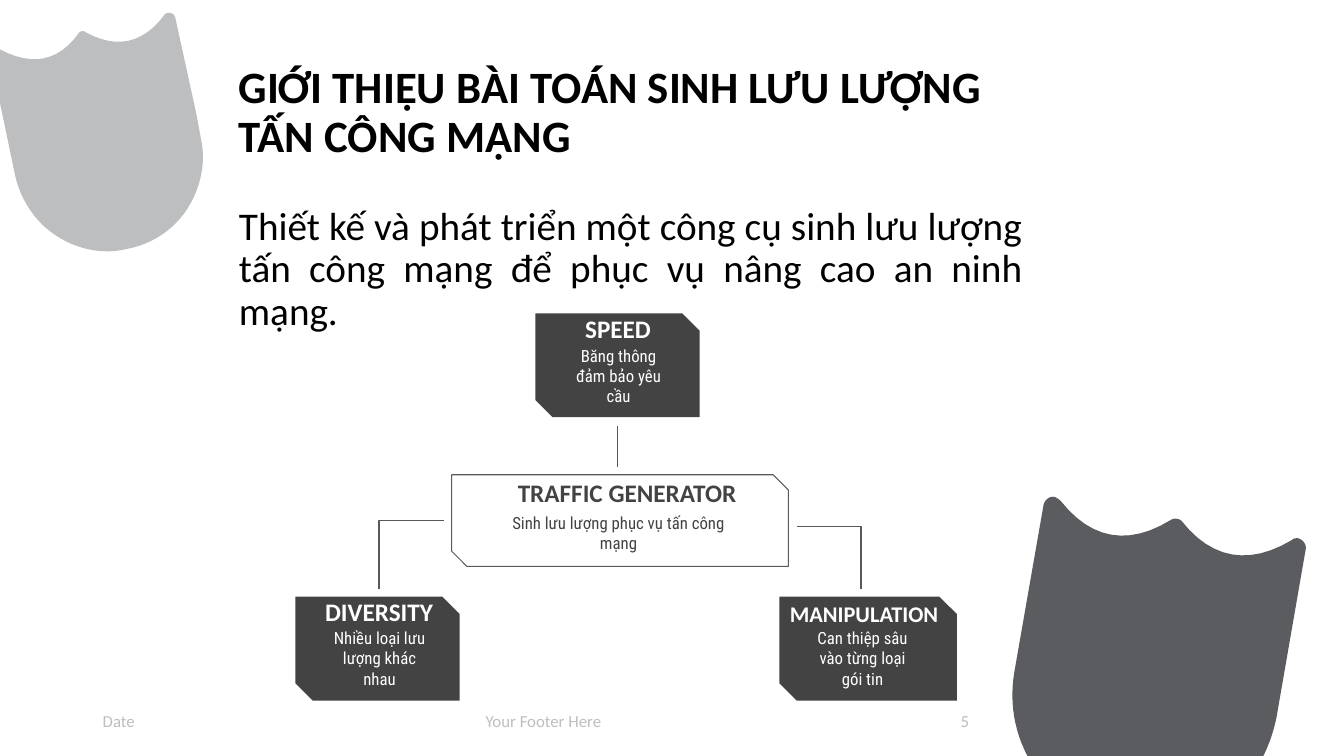
from dataclasses import dataclass

from lxml import etree
from pptx import Presentation
from pptx import util as u
from pptx.dml.color import RGBColor
from pptx.enum import shapes, text
from pptx.oxml import ns

PX = 9144  # EMU per px, 100 px to the inch
COLORS = {
    "black": "000000", "white": "FFFFFF", "dark": "434343", "line": "595959",
    "footer": "BDBEC0", "shield_light": "BDBEC0", "shield_dark": "5B5C5F",
}
HEAD_FONT, CAPTION_FONT = "Calibri", "Roboto Condensed"
LEFT, CENTER, RIGHT = text.PP_ALIGN.LEFT, text.PP_ALIGN.CENTER, text.PP_ALIGN.RIGHT
TOP, MIDDLE, BOTTOM = text.MSO_ANCHOR.TOP, text.MSO_ANCHOR.MIDDLE, text.MSO_ANCHOR.BOTTOM

Rect = tuple[int, int, int, int]


@dataclass
class Shield:
    """An outline: pairs are line ends, sixes are cubic curves."""
    color: str
    start: tuple[int, int]
    segments: list[tuple[int, ...]]


@dataclass
class Node:
    box: Rect
    heading: str
    heading_at: Rect
    caption: str
    caption_at: Rect
    heading_size: int = 18
    filled: bool = True


@dataclass
class Link:
    kind: shapes.MSO_CONNECTOR
    start: tuple[int, int]
    end: tuple[int, int]


@dataclass
class Footer:
    words: str
    at: Rect
    align: text.PP_ALIGN


SHIELDS = [
    Shield("shield_dark", (1266, 712), [
        (1263, 726, 1259, 738, 1253, 750), (1019, 750),
        (1006, 725, 1001, 697, 1006, 667), (1035, 501),
        (1036, 496, 1041, 492, 1046, 493), (1048, 494, 1050, 495, 1052, 497),
        (1082, 535, 1119, 542, 1161, 516), (1164, 514, 1169, 514, 1172, 517),
        (1202, 555, 1239, 561, 1281, 536), (1283, 534, 1285, 534, 1287, 534),
        (1292, 535, 1296, 540, 1295, 545)]),
    Shield("shield_light", (0, 49), [
        (32, 66, 58, 61, 78, 33), (79, 31, 83, 30, 85, 32),
        (116, 49, 142, 43, 163, 15), (163, 14, 165, 13, 166, 13),
        (170, 12, 173, 14, 174, 18), (195, 114), (199, 136),
        (205, 161, 199, 186, 186, 207), (173, 227, 152, 242, 126, 247),
        (101, 253, 76, 247, 56, 234), (36, 221, 21, 200, 15, 174), (0, 102)]),
]
NODES = [
    Node((293, 592, 163, 103), "DIVERSITY", (298, 589, 156, 43),
         "Nhiều loại lưu lượng khác nhau", (313, 613, 127, 68)),
    Node((773, 592, 176, 103), "MANIPULATION", (743, 589, 228, 43),
         "Can thiệp sâu vào từng loại gói tin", (792, 613, 127, 68), heading_size=16),
    Node((448, 471, 334, 91), "TRAFFIC GENERATOR", (422, 471, 400, 43),
         "Sinh lưu lượng phục vụ tấn công mạng", (490, 499, 247, 90), filled=False),
    Node((531, 311, 163, 103), "SPEED", (535, 308, 156, 43),
         "Băng thông đảm bảo yêu cầu", (550, 333, 127, 68)),
]
LINKS = [
    Link(shapes.MSO_CONNECTOR.STRAIGHT, (612, 423), (612, 463)),
    Link(shapes.MSO_CONNECTOR.ELBOW, (440, 516), (376, 584)),
    Link(shapes.MSO_CONNECTOR.ELBOW, (791, 522), (854, 584)),
]
FOOTERS = [
    Footer("Date", (92, 695, 201, 40), LEFT),
    Footer("Your Footer Here", (314, 695, 450, 40), CENTER),
    Footer("5", (798, 695, 173, 40), RIGHT),
]


def emu(values: tuple) -> list[u.Emu]:
    return [u.Emu(round(v * PX)) for v in values]


def rgb(name: str) -> RGBColor:
    return RGBColor.from_string(COLORS[name])


def write(tf, words: str, size: int, color: str, align, anchor,
          font: str = HEAD_FONT, bold: bool = False):
    tf.word_wrap = True
    tf.auto_size = text.MSO_AUTO_SIZE.NONE
    tf.vertical_anchor = anchor
    p = tf.paragraphs[0]
    p.alignment = align
    p.space_before = u.Pt(0)
    r = p.add_run()
    r.text = words
    r.font.name, r.font.size, r.font.bold = font, u.Pt(size), bold
    r.font.color.rgb = rgb(color)
    return p


def text_box(s, at: Rect, inset: int = 0):
    tf = s.shapes.add_textbox(*emu(at)).text_frame
    if inset:
        tf.margin_left = tf.margin_top = tf.margin_right = tf.margin_bottom = u.Emu(inset * PX)
    return tf


def place(sp, at: Rect) -> None:
    sp.left, sp.top, sp.width, sp.height = emu(at)


def draw_shield(s, shield: Shield) -> None:
    points, last = [], shield.start
    for seg in shield.segments:
        if len(seg) == 2:
            points.append(seg)
        else:
            a, b, end = seg[:2], seg[2:4], seg[4:]
            for t in (step / 12 for step in range(1, 13)):
                points.append(tuple(
                    (1 - t) ** 3 * last[i] + 3 * (1 - t) ** 2 * t * a[i]
                    + 3 * (1 - t) * t ** 2 * b[i] + t ** 3 * end[i] for i in (0, 1)))
        last = seg[-2:]
    builder = s.shapes.build_freeform(*emu(shield.start))
    builder.add_line_segments([emu(pt) for pt in points], close=True)
    sp = builder.convert_to_shape()
    sp.shadow.inherit = False
    sp.fill.solid()
    sp.fill.fore_color.rgb = rgb(shield.color)
    sp.line.fill.background()


def draw_node(s, node: Node) -> None:
    sp = s.shapes.add_shape(shapes.MSO_SHAPE.SNIP_2_DIAG_RECTANGLE, *emu(node.box))
    sp.shadow.inherit = False
    if node.filled:
        sp.fill.solid()
        sp.fill.fore_color.rgb = rgb("dark")
        sp.line.fill.background()
    else:
        sp.fill.background()
        sp.line.color.rgb = rgb("line")
        sp.line.width = u.Pt(0.75)
    color = "white" if node.filled else "dark"
    write(text_box(s, node.heading_at, 10), node.heading, node.heading_size, color,
          CENTER, BOTTOM, bold=True)
    write(text_box(s, node.caption_at, 10), node.caption, 12, color,
          CENTER, TOP, font=CAPTION_FONT)


def draw_link(s, link: Link) -> None:
    c = s.shapes.add_connector(link.kind, *emu(link.start + link.end))
    c.line.color.rgb = rgb("line")
    c.line.width = u.Pt(0.75)
    sp_pr = c._element.spPr
    etree.SubElement(sp_pr, ns.qn("a:effectLst"))
    if link.kind == shapes.MSO_CONNECTOR.ELBOW:  # turn only at the far end
        guides = sp_pr.find(ns.qn("a:prstGeom")).get_or_add_avLst()
        etree.SubElement(guides, ns.qn("a:gd"), name="adj1", fmla="val 100000")


def main() -> None:
    prs = Presentation()
    prs.slide_width, prs.slide_height = emu((1333, 750))
    s = prs.slides.add_slide(prs.slide_layouts[1])

    # Background shields
    for shield in SHIELDS:
        draw_shield(s, shield)

    # Title and statement
    title, body = s.shapes.title, s.placeholders[1]
    place(title, (227, 40, 797, 145))
    p = write(title.text_frame, "GIỚI THIỆU BÀI TOÁN SINH LƯU LƯỢNG TẤN CÔNG MẠNG",
              32, "black", LEFT, MIDDLE, bold=True)
    p.line_spacing = 0.9
    place(body, (227, 200, 797, 476))
    p = write(body.text_frame, "Thiết kế và phát triển một công cụ sinh lưu lượng tấn công "
              "mạng để phục vụ nâng cao an ninh mạng.", 28, "black",
              text.PP_ALIGN.JUSTIFY, TOP)
    p.line_spacing = 0.9
    p.space_after = u.Pt(12)
    p_pr = p._p.get_or_add_pPr()
    p_pr.set("marL", "0")
    p_pr.set("indent", "0")
    etree.SubElement(p_pr, ns.qn("a:buNone"))

    # Diagram
    for link in LINKS:
        draw_link(s, link)
    for node in NODES:
        draw_node(s, node)

    # Footer
    for footer in FOOTERS:
        write(text_box(s, footer.at), footer.words, 12, "footer", footer.align, MIDDLE)

    prs.save("out.pptx")


if __name__ == "__main__":
    main()
